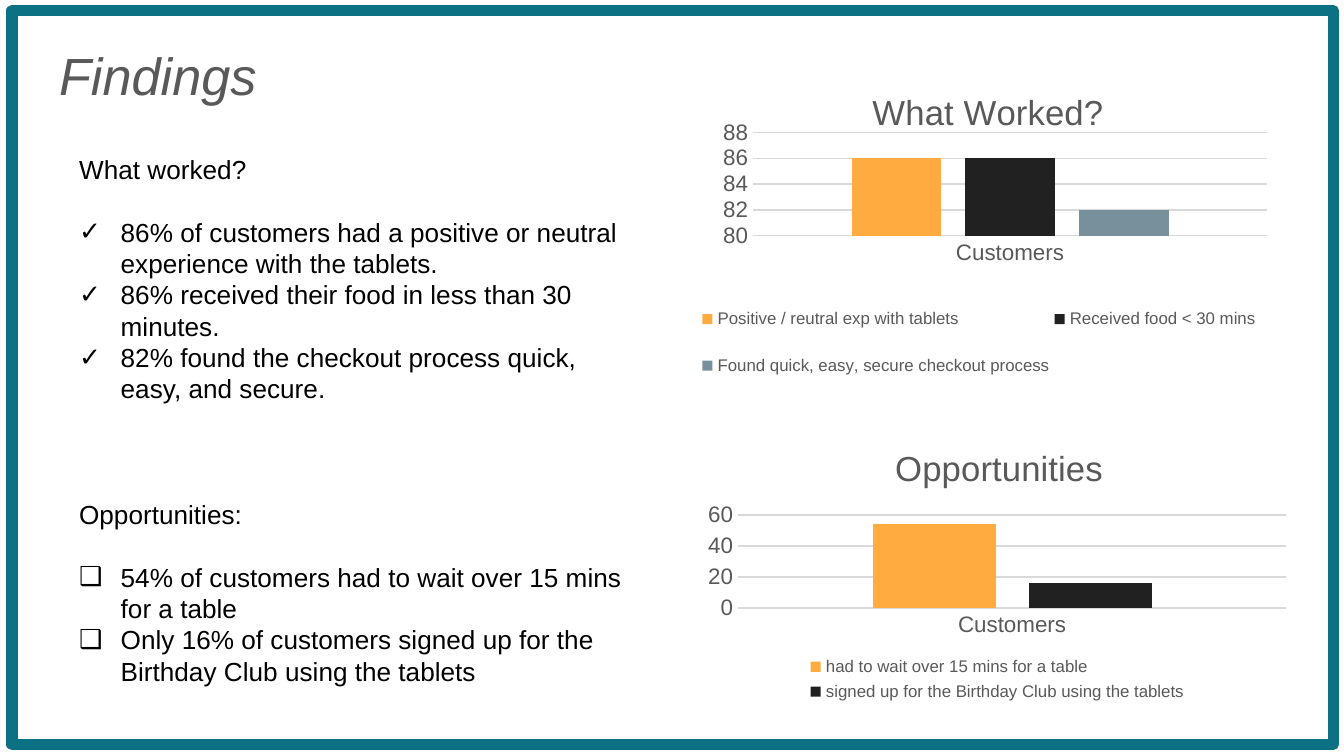
from lxml import etree
from pptx import Presentation
from pptx.chart import data
from pptx.dml.color import RGBColor
from pptx.enum import chart as kinds, shapes, text
from pptx.oxml import ns
from pptx.util import Inches, Pt

COLORS = {"frame": "0C7182", "gray": "595959", "black": "000000", "grid": "D9D9D9",
          "orange": "FFAB40", "dark": "212121", "slate": "78909C"}
FONT = "Arial"


def style(font, size, color):
    font.name = FONT
    font.size = Pt(size)
    font.bold = False
    font.color.rgb = RGBColor.from_string(COLORS[color])


def place(element, before, **values):
    """Give a chart part a manual layout, inserted ahead of the given sibling."""
    for old in element.findall(ns.qn("c:layout")):
        element.remove(old)
    layout = etree.Element(ns.qn("c:layout"))
    manual = etree.SubElement(layout, ns.qn("c:manualLayout"))
    for name, value in values.items():
        etree.SubElement(manual, ns.qn("c:" + name)).set("val", str(value))
    element.find(ns.qn(before)).addprevious(layout)


deck = Presentation()
deck.slide_width = Inches(10)
deck.slide_height = Inches(10) * 9 // 16
page = deck.slides.add_slide(deck.slide_layouts[5])

# Frame
frame = page.shapes.add_shape(shapes.MSO_SHAPE.RECTANGLE, Inches(0.09), Inches(0.08),
                              Inches(9.83), Inches(5.46))
frame.shadow.inherit = False
frame.fill.background()
frame.line.color.rgb = RGBColor.from_string(COLORS["frame"])
frame.line.width = Pt(6)
etree.SubElement(frame.line._get_or_add_ln(), ns.qn("a:round"))

# Title
title = page.shapes.title
title.left, title.top = Inches(0.34), Inches(0.22)
title.width, title.height = Inches(9.32), Inches(0.87)
title.text_frame.text = "Findings"
title.text_frame.vertical_anchor = text.MSO_ANCHOR.TOP
for side in ("left", "top", "right", "bottom"):
    setattr(title.text_frame, "margin_" + side, Inches(0.1))
para = title.text_frame.paragraphs[0]
para.alignment = text.PP_ALIGN.LEFT
style(para.runs[0].font, 28, "gray")
para.runs[0].font.italic = True

# Findings lists
LINE = 16.8
sections = [
    ("What worked?", "✓", 0, [
        "86% of customers had a positive or neutral experience with the tablets.",
        "86% received their food in less than 30 minutes.",
        "82% found the checkout process quick, easy, and secure."]),
    ("Opportunities:", "❑", 3, [
        "54% of customers had to wait over 15 mins for a table",
        "Only 16% of customers signed up for the Birthday Club using the tablets"]),
]
box = page.shapes.add_textbox(Inches(0.49), Inches(1.09), Inches(4.33), Inches(4.11))
box.text_frame.word_wrap = True
para = box.text_frame.paragraphs[0]
for heading, bullet, gap_lines, items in sections:
    for index, wording in enumerate([heading] + items):
        if para.text:
            para = box.text_frame.add_paragraph()
        para.text = wording
        para.line_spacing = Pt(LINE)
        style(para.runs[0].font, 14, "black")
        if index == 0:
            para.space_before = Pt(gap_lines * LINE)
            para.space_after = Pt(LINE)
        else:
            props = para._p.get_or_add_pPr()
            props.set("marL", str(Inches(0.31)))
            props.set("indent", str(Inches(-0.31)))
            etree.SubElement(props, ns.qn("a:buFont")).set("typeface", FONT)
            etree.SubElement(props, ns.qn("a:buChar")).set("char", bullet)

# Charts: title, box, series, scale (min, max, step), title corner, plot area, legend area
charts = [
    ("What Worked?", (5, 0.54, 4.66, 2.48),
     [("Positive / reutral exp with tablets", 86, "orange"),
      ("Received food < 30 mins", 86, "dark"),
      ("Found quick, easy, secure checkout process", 82, "slate")],
     (80, 88, 2), (0.31, 0.03), (0.13, 0.18, 0.82, 0.31), (0.04, 0.63, 0.9, 0.36)),
    ("Opportunities", (5.18, 3.16, 4.48, 2.1),
     [("had to wait over 15 mins for a table", 54, "orange"),
      ("signed up for the Birthday Club using the tablets", 16, "dark")],
     (0, 60, 20), (0.32, 0.05), (0.07, 0.32, 0.91, 0.33), None),
]
for name, area, series, scale, corner, plot_area, legend_area in charts:
    values = data.CategoryChartData()
    values.categories = ["Customers"]
    for label, value, color in series:
        values.add_series(label, [value])
    chart = page.shapes.add_chart(kinds.XL_CHART_TYPE.COLUMN_CLUSTERED,
                                  *map(Inches, area), values).chart
    style(chart.font, 10, "black")

    chart.has_title = True
    chart.chart_title.text_frame.text = name
    style(chart.chart_title.text_frame.paragraphs[0].runs[0].font, 18.6, "gray")
    place(chart.chart_title._element, "c:overlay", xMode="edge", yMode="edge",
          x=corner[0], y=corner[1])

    plot = chart.plots[0]
    plot.gap_width, plot.overlap, plot.vary_by_categories = 219, -27, False
    for column, (label, value, color) in zip(plot.series, series):
        column.format.fill.solid()
        column.format.fill.fore_color.rgb = RGBColor.from_string(COLORS[color])
    place(chart._chartSpace.chart.plotArea, "c:barChart", layoutTarget="inner",
          xMode="edge", yMode="edge", **dict(zip("xywh", plot_area)))

    for axis in (chart.category_axis, chart.value_axis):
        axis.major_tick_mark = axis.minor_tick_mark = kinds.XL_TICK_MARK.NONE
        style(axis.tick_labels.font, 12, "gray")
    scaled = chart.value_axis
    scaled.minimum_scale, scaled.maximum_scale, scaled.major_unit = scale
    scaled.format.line.fill.background()
    for line in (chart.category_axis.format.line, scaled.major_gridlines.format.line):
        line.color.rgb = RGBColor.from_string(COLORS["grid"])
        line.width = Pt(0.75)

    chart.has_legend = True
    chart.legend.position = kinds.XL_LEGEND_POSITION.BOTTOM
    chart.legend.include_in_layout = False
    style(chart.legend.font, 9, "gray")
    if legend_area:
        place(chart.legend._element, "c:overlay", xMode="edge", yMode="edge",
              **dict(zip("xywh", legend_area)))

deck.save("out.pptx")
